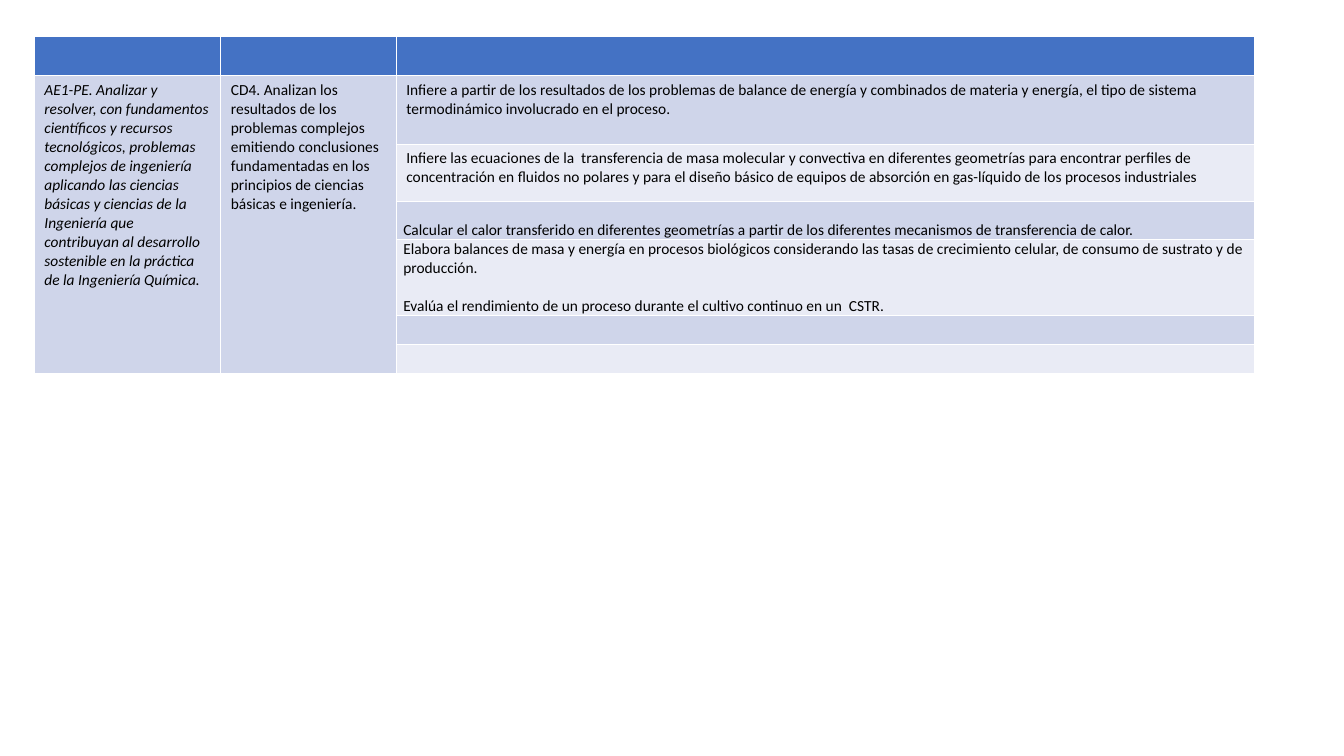
from pptx import Presentation
from pptx.dml.color import RGBColor
from pptx.util import Inches, Pt

HEADER, BAND_DARK, BAND_LIGHT, BLACK = "4472C4", "CFD5EA", "E9EBF5", "000000"
COLUMN_WIDTHS = [1.85, 1.74, 8.51]
ROW_HEIGHTS = [0.39, 0.68, 0.57, 0.38, 0.75, 0.29, 0.29]
LINE = 13.4  # height of one text line, in points

OUTCOME = (
    "AE1-PE. Analizar y resolver, con fundamentos científicos y recursos tecnológicos, "
    "problemas complejos de ingeniería aplicando las ciencias básicas y ciencias de la "
    "Ingeniería que contribuyan al desarrollo sostenible en la práctica de la Ingeniería Química."
)
CRITERION = (
    "CD4. Analizan los resultados de los problemas complejos emitiendo conclusiones "
    "fundamentadas en los principios de ciencias básicas e ingeniería."
)
INDICATORS = [
    "Infiere a partir de los resultados de los problemas de balance de energía y combinados "
    "de materia y energía, el tipo de sistema termodinámico involucrado en el proceso.",
    "Infiere las ecuaciones de la  transferencia de masa molecular y convectiva en diferentes "
    "geometrías para encontrar perfiles de concentración en fluidos no polares y para el diseño "
    "básico de equipos de absorción en gas-líquido de los procesos industriales",
    "Calcular el calor transferido en diferentes geometrías a partir de los diferentes "
    "mecanismos de transferencia de calor.",
    "Elabora balances de masa y energía en procesos biológicos considerando las tasas de "
    "crecimiento celular, de consumo de sustrato y de producción.\n"
    "Evalúa el rendimiento de un proceso durante el cultivo continuo en un  CSTR.",
]


def color(hex_value):
    return RGBColor.from_string(hex_value)


presentation = Presentation()
presentation.slide_width = Inches(13.33)
presentation.slide_height = Inches(7.5)
slide = presentation.slides.add_slide(presentation.slide_layouts[6])

# Table grid; the default style supplies the white borders
table = slide.shapes.add_table(
    len(ROW_HEIGHTS), len(COLUMN_WIDTHS), Inches(0.34), Inches(0.36),
    Inches(sum(COLUMN_WIDTHS)), Inches(sum(ROW_HEIGHTS)),
).table
for column, width in zip(table.columns, COLUMN_WIDTHS):
    column.width = Inches(width)
for row, height in zip(table.rows, ROW_HEIGHTS):
    row.height = Inches(height)

# Wording
last_row = len(ROW_HEIGHTS) - 1
for column_index, wording in enumerate([OUTCOME, CRITERION]):
    table.cell(1, column_index).merge(table.cell(last_row, column_index))
    table.cell(1, column_index).text_frame.text = wording
for row_index, wording in enumerate(INDICATORS, start=1):
    table.cell(row_index, 2).text_frame.text = wording

# Tight margins in the two lower indicators, with a line of space above
for row_index in (3, 4):
    cell = table.cell(row_index, 2)
    cell.margin_left = cell.margin_right = Inches(0.07)
    cell.margin_top = cell.margin_bottom = 0
table.cell(3, 2).margin_top = Pt(LINE)
table.cell(4, 2).text_frame.paragraphs[1].space_before = Pt(LINE)

# Fills and fonts
for row_index, row in enumerate(table.rows):
    band = BAND_DARK if row_index % 2 else BAND_LIGHT
    for column_index, cell in enumerate(row.cells):
        cell.fill.solid()
        cell.fill.fore_color.rgb = color(band if row_index else HEADER)
        for paragraph in cell.text_frame.paragraphs:
            paragraph.font.size = Pt(11)
            for run in paragraph.runs:
                run.font.size = Pt(11)
                run.font.name = "Calibri"
                run.font.color.rgb = color(BLACK)
                run.font.italic = column_index == 0

presentation.save("out.pptx")
